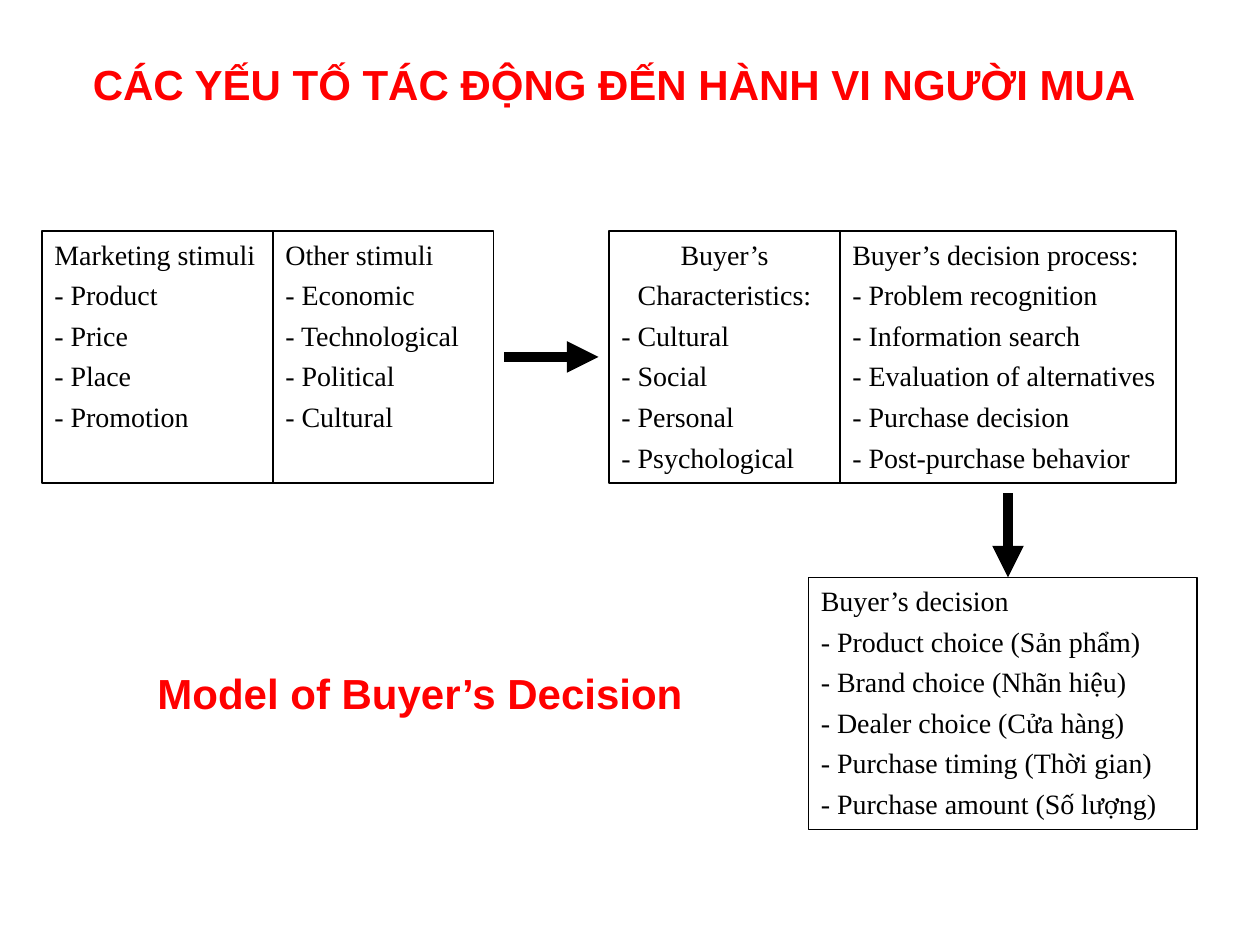
from lxml.etree import SubElement
from pptx import Presentation
from pptx.dml.color import RGBColor
from pptx.enum.shapes import MSO_CONNECTOR, MSO_SHAPE
from pptx.enum.text import MSO_ANCHOR, MSO_AUTO_SIZE, PP_ALIGN
from pptx.oxml.ns import qn
from pptx.util import Pt

PX = 9525
BLACK, RED = "000000", "FF0000"
ROW_TOP, PANEL_HEIGHT = 176, 192
HANGING_INDENT = 36

MARKETING = ["Marketing stimuli", "- Product", "- Price", "- Place", "- Promotion"]
OTHER = ["Other stimuli", "- Economic", "- Technological", "- Political", "- Cultural"]
CHARACTERISTICS = ["Buyer’s", "Characteristics:", "- Cultural", "- Social",
                   "- Personal", "- Psychological"]
PROCESS = ["Buyer’s decision process:", "- Problem recognition", "- Information search",
           "- Evaluation of alternatives", "- Purchase decision",
           "- Post-purchase behavior"]
DECISION = ["Buyer’s decision", "- Product choice (Sản phẩm)", "- Brand choice (Nhãn hiệu)",
            "- Dealer choice (Cửa hàng)", "- Purchase timing (Thời gian)",
            "- Purchase amount (Số lượng)"]


def emu(*lengths):
    """Turn px lengths into EMU."""
    return [length * PX for length in lengths]


def paint(target, color):
    """Give a fill or font colour format a hex colour."""
    target.rgb = RGBColor.from_string(color)


def style(paragraph, typeface, size, color, space_before, bold=False):
    """Set the font and the spacing of a paragraph."""
    paragraph.space_before = Pt(space_before)
    paragraph.font.name = typeface
    paragraph.font.size = Pt(size)
    paragraph.font.bold = bold
    paint(paragraph.font.color, color)


def add_panel(slide, box, lines, centered=0):
    """Draw an outlined panel whose first lines may be centred."""
    panel = slide.shapes.add_shape(MSO_SHAPE.RECTANGLE, *emu(*box))
    panel.shadow.inherit = False
    panel.fill.background()
    paint(panel.line.color, BLACK)
    panel.line.width = Pt(0.75)
    frame = panel.text_frame
    frame.word_wrap = True
    frame.vertical_anchor = MSO_ANCHOR.TOP
    frame.text = "\n".join(lines)
    for index, paragraph in enumerate(frame.paragraphs):
        style(paragraph, "Times New Roman", 16, BLACK, 4)
        paragraph.alignment = PP_ALIGN.CENTER if index < centered else PP_ALIGN.LEFT
        indent = HANGING_INDENT * PX
        properties = paragraph._p.get_or_add_pPr()
        properties.set("marL", str(indent))
        properties.set("indent", str(-indent))


def add_stage(slide, left, top, panels):
    """Place adjoining panels from left to right."""
    for width, lines, centered in panels:
        add_panel(slide, (left, top, width, PANEL_HEIGHT), lines, centered)
        left += width


def add_arrow(slide, start, end):
    """Draw a thick arrow between two points."""
    arrow = slide.shapes.add_connector(MSO_CONNECTOR.STRAIGHT, *emu(*start, *end))
    paint(arrow.line.color, BLACK)
    arrow.line.width = Pt(6)
    SubElement(arrow.line._get_or_add_ln(), qn("a:tailEnd"), type="triangle")
    SubElement(arrow._element.spPr, qn("a:effectLst"))


def add_heading(slide, box, wording):
    """Write a centred red heading."""
    frame = slide.shapes.add_textbox(*emu(*box)).text_frame
    frame.word_wrap = True
    frame.auto_size = MSO_AUTO_SIZE.SHAPE_TO_FIT_TEXT
    frame.text = wording
    heading = frame.paragraphs[0]
    heading.alignment = PP_ALIGN.CENTER
    style(heading, "Arial", 24, RED, 15, bold=True)


def main():
    """Build the buyer decision model slide."""
    deck = Presentation()
    deck.slide_width, deck.slide_height = emu(960, 720)
    slide = deck.slides.add_slide(deck.slide_layouts[6])
    add_stage(slide, 32, ROW_TOP, [(176, MARKETING, 0), (168, OTHER, 0)])
    add_stage(slide, 464, ROW_TOP, [(176, CHARACTERISTICS, 2), (256, PROCESS, 0)])
    add_stage(slide, 616, 440, [(296, DECISION, 0)])
    add_arrow(slide, (384, 272), (456, 272))
    add_arrow(slide, (768, 376), (768, 440))
    add_heading(slide, (88, 504, 464, 48), "Model of Buyer’s Decision")
    add_heading(slide, (24, 40, 888, 48), "CÁC YẾU TỐ TÁC ĐỘNG ĐẾN HÀNH VI NGƯỜI MUA")
    deck.save("out.pptx")


if __name__ == "__main__":
    main()
